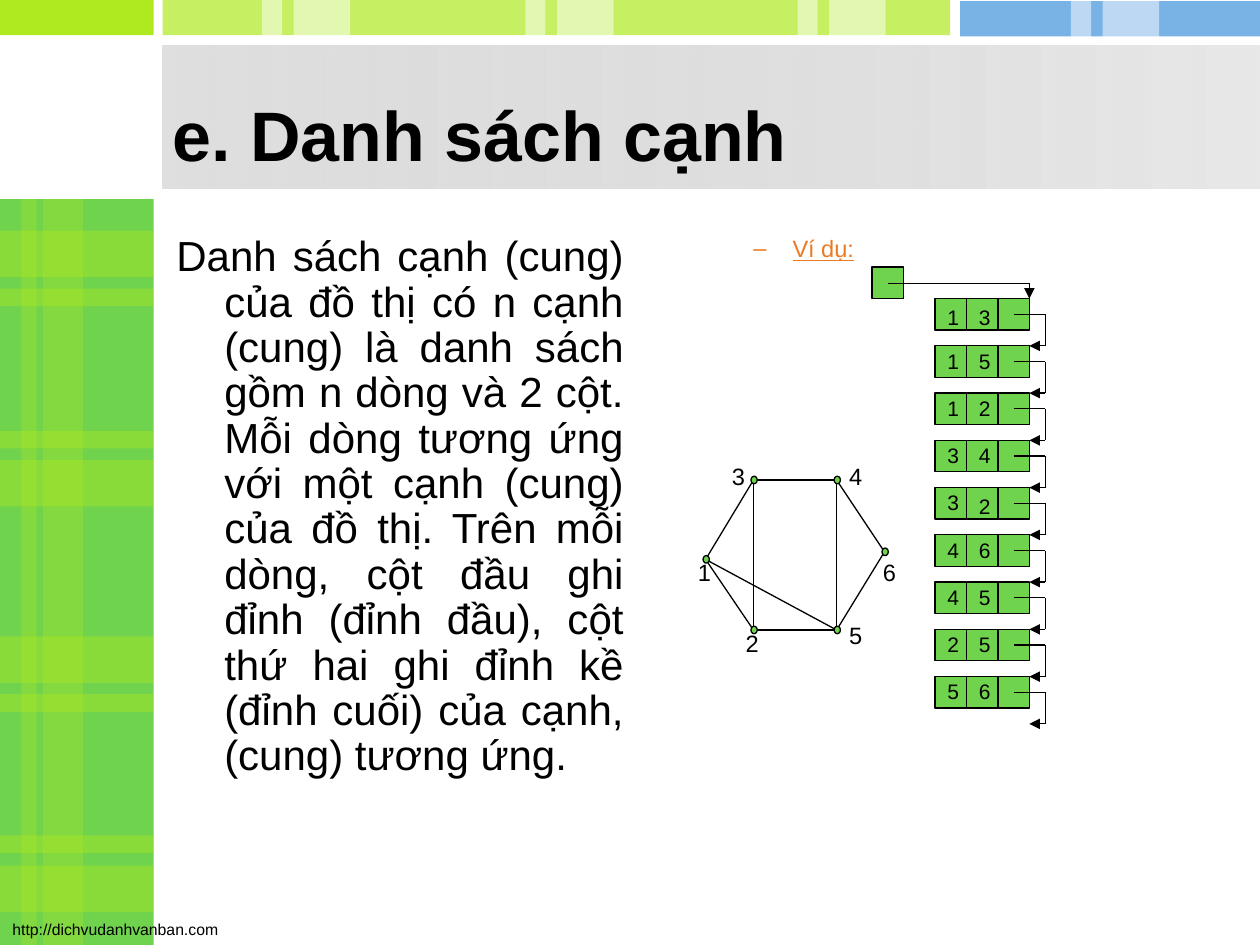
import pptx
import pptx.dml.color
import pptx.enum.shapes
import pptx.enum.text
import pptx.oxml
import pptx.oxml.ns
import pptx.util

Inches = pptx.util.Inches
Pt = pptx.util.Pt
SHAPE = pptx.enum.shapes.MSO_SHAPE
ALIGN = pptx.enum.text.PP_ALIGN
ANCHOR = pptx.enum.text.MSO_ANCHOR
AUTO_SIZE = pptx.enum.text.MSO_AUTO_SIZE
GREEN, LIME, BLUE, WHITE, BLACK = "70D34D", "AFE91F", "4192DB", "FFFFFF", "000000"
DEFINITION = (
    "Danh sách cạnh (cung) của đồ thị có n cạnh (cung) là danh sách gồm n dòng và 2 cột. "
    "Mỗi dòng tương ứng với một cạnh (cung) của đồ thị. Trên mỗi dòng, cột đầu ghi đỉnh "
    "(đỉnh đầu), cột thứ hai ghi đỉnh kề (đỉnh cuối) của cạnh, (cung) tương ứng."
)
# Vertex: centre, then label left, top and width, relative to the graph box
VERTICES = {
    "1": (0.16, 0.82, 0, 0.76, 0.22),
    "2": (0.54, 1.38, 0.38, 1.32, 0.27),
    "3": (0.54, 0.19, 0.27, 0, 0.33),
    "4": (1.2, 0.19, 1.2, 0, 0.27),
    "5": (1.2, 1.38, 1.2, 1.26, 0.27),
    "6": (1.58, 0.76, 1.47, 0.76, 0.27),
}
EDGES = ["13", "15", "12", "34", "32", "46", "45", "25", "56"]


def rgb(color):
    return pptx.dml.color.RGBColor.from_string(color)


def set_attributes(target, values):
    for name, value in values.items():
        setattr(target, name, value)


def add_xml(parent, tag, **attributes):
    element = pptx.oxml.parse_xml(f"<a:{tag} {pptx.oxml.ns.nsdecls('a')}/>")
    for name, value in attributes.items():
        element.set(name, str(value))
    parent.append(element)


def set_opacity(element, percent):
    """Make the first plain colour inside the element see-through."""
    color = next(element.iter(pptx.oxml.ns.qn("a:srgbClr")))
    add_xml(color, "alpha", val=percent * 1000)


def draw_shape(shapes, kind, box, fill=None, opacity=100, outlined=False):
    shape = shapes.add_shape(kind, *map(Inches, box))
    shape.shadow.inherit = False
    if fill:
        shape.fill.solid()
        shape.fill.fore_color.rgb = rgb(fill)
        if opacity < 100:
            set_opacity(shape.element.spPr, opacity)
    else:
        shape.fill.background()
    if outlined:
        shape.line.color.rgb = rgb(BLACK)
        shape.line.width = Pt(0.75)
    else:
        shape.line.fill.background()
    return shape


def draw_line(shapes, start, end, width=0.75, arrow=False):
    line = shapes.add_connector(
        pptx.enum.shapes.MSO_CONNECTOR.STRAIGHT, *map(Inches, (*start, *end)))
    line.line.color.rgb = rgb(BLACK)
    line.line.width = Pt(width)
    if arrow:
        add_xml(line.line._get_or_add_ln(), "tailEnd", type="triangle")
    add_xml(line.element.spPr, "effectLst")


def write_text(frame, text, size, color=BLACK, paragraph_format=None, **font):
    paragraph = frame.paragraphs[0]
    set_attributes(paragraph, {"space_before": Pt(0), **(paragraph_format or {})})
    run = paragraph.add_run()
    run.text = text
    set_attributes(run.font, {"name": "Arial", "size": Pt(size), **font})
    run.font.color.rgb = rgb(color)
    return paragraph


def add_label(shapes, text, box, size, wrap=True):
    frame = shapes.add_textbox(*map(Inches, box)).text_frame
    set_attributes(frame, {"word_wrap": wrap, "auto_size": AUTO_SIZE.SHAPE_TO_FIT_TEXT})
    write_text(frame, text, size)


def add_side_panel(shapes, left, top, width, height):
    draw_shape(shapes, SHAPE.RECTANGLE, (left, top, width, height), GREEN)
    for offset, strip in ((0.17, 0.12), (0.34, 0.32)):
        draw_shape(shapes, SHAPE.RECTANGLE, (left + offset, top, strip, height), LIME, 30)
    for wide, thin in ((0.25, 0.71), (2.07, 1.84), (3.47, 3.93), (5.29, 5.05)):
        for offset, band in ((wide, 0.37), (thin, 0.14)):
            draw_shape(shapes, SHAPE.RECTANGLE, (left, top + offset, width, band), LIME, 40)


def add_top_bar(shapes, left, top, width, height):
    draw_shape(shapes, SHAPE.RECTANGLE, (left, top, 1.22, height), LIME)
    draw_shape(shapes, SHAPE.RECTANGLE, (left + 1.29, top, 6.25, height), LIME, 70)
    draw_shape(shapes, SHAPE.RECTANGLE, (left + 7.62, top + 0.01, width - 7.62, height), BLUE, 70)
    for start in (2.08, 4.17, 6.33, 8.5):
        for offset, strip in ((0, 0.16), (0.25, 0.45)):
            draw_shape(shapes, SHAPE.RECTANGLE,
                       (left + start + offset, top, strip, height + 0.03), WHITE, 50)


def add_title_band(shapes, left, top, width, height):
    band = draw_shape(shapes, SHAPE.RECTANGLE, (left, top, width, height))
    band.fill.gradient()
    band.fill.gradient_angle = 0
    for stop, color in zip(band.fill.gradient_stops, ("C0C0C0", "E8E8E8")):
        stop.color.rgb = rgb(color)
    set_opacity(band.element.spPr, 50)


def place_placeholder(slide, index, box, anchor):
    """Move a placeholder to its box, in front of what is drawn so far."""
    placeholder = slide.placeholders[index]
    set_attributes(placeholder, dict(zip(("left", "top", "width", "height"), map(Inches, box))))
    slide.shapes.element.append(placeholder.element)
    frame = placeholder.text_frame
    set_attributes(frame, {"word_wrap": True, "auto_size": AUTO_SIZE.NONE,
                           "vertical_anchor": anchor})
    return frame


def add_title(slide, box):
    frame = place_placeholder(slide, 0, box, ANCHOR.MIDDLE)
    write_text(frame, "e. Danh sách cạnh", 40, paragraph_format={"alignment": ALIGN.LEFT},
               bold=True)


def add_body(slide, index, box, text, margin, indent, bullet=None, spacing=1.0, **style):
    frame = place_placeholder(slide, index, box, ANCHOR.TOP)
    paragraph = write_text(frame, text, paragraph_format={
        "level": 1, "alignment": ALIGN.JUSTIFY, "line_spacing": spacing}, **style)
    properties = paragraph._p.get_or_add_pPr()
    properties.set("marL", str(Inches(margin)))
    properties.set("indent", str(Inches(indent)))
    if bullet:
        add_xml(properties, "buChar", char=bullet)
    else:
        add_xml(properties, "buNone")


def add_graph(slide, left, top):
    shapes = slide.shapes.add_group_shape().shapes
    centres = {name: (left + x, top + y) for name, (x, y, *_) in VERTICES.items()}
    for start, end in EDGES:
        draw_line(shapes, centres[start], centres[end])
    for name, (x, y) in centres.items():
        draw_shape(shapes, SHAPE.OVAL, (x - 0.02, y - 0.03, 0.05, 0.06), GREEN, outlined=True)
        label_left, label_top, width = VERTICES[name][2:]
        add_label(shapes, name, (left + label_left, top + label_top, width, 0.33), 13.5)


def add_edge_list(slide, left, top, cell=0.25):
    """Draw the head cell and the chain of edge records that hangs from it."""
    shapes = slide.shapes.add_group_shape().shapes
    record_left, pitch = left + 2 * cell, 1.5 * cell
    right = record_left + 3 * cell
    for row, edge in enumerate(EDGES):
        y = top + cell + row * pitch
        draw_shape(shapes, SHAPE.RECTANGLE, (record_left, y, 3 * cell, cell), GREEN, outlined=True)
        for column, vertex in enumerate(edge):
            x = record_left + column * cell
            draw_line(shapes, (x + cell, y), (x + cell, y + cell))
            raised = 0 if (row, column) in ((0, 0), (0, 1), (4, 1)) else 0.03
            add_label(shapes, vertex, (x, y - raised, cell, 0.3), 12)
        middle, turn = y + cell / 2, right + cell / 2
        draw_line(shapes, (right - cell / 2, middle), (turn, middle))
        draw_line(shapes, (turn, middle), (turn, y + pitch))
        draw_line(shapes, (turn, y + pitch), (right, y + pitch), arrow=True)
    draw_shape(shapes, SHAPE.RECTANGLE, (left, top, cell, cell), GREEN, outlined=True)
    middle = top + cell / 2
    draw_line(shapes, (left + cell / 2, middle), (right, middle), width=0.25)
    draw_line(shapes, (right, middle), (right, top + cell), arrow=True)


def main():
    presentation = pptx.Presentation()
    set_attributes(presentation, {"slide_width": Inches(10), "slide_height": Inches(7.5)})
    slide = presentation.slides.add_slide(presentation.slide_layouts[3])
    add_side_panel(slide.shapes, 0, 1.58, 1.22, 5.92)
    add_top_bar(slide.shapes, 0, 0, 10, 0.28)
    add_title_band(slide.shapes, 1.29, 0.36, 8.71, 1.14)
    add_label(slide.shapes, "http://dichvudanhvanban.com", (0, 7.25, 1.85, 0.25), 9, wrap=False)
    add_title(slide, (1.27, 0.59, 6.15, 0.94))
    add_body(slide, 1, (0.97, 1.82, 4.08, 3.83), DEFINITION, 0.71, -0.38, spacing=0.9, size=24)
    add_body(slide, 2, (5.38, 1.81, 3, 3.83), "Ví dụ:", 0.81, -0.31, bullet="–",
             size=13.5, color="EC7A24", underline=True)
    add_graph(slide, 5.44, 3.62)
    add_edge_list(slide, 6.92, 2.12)
    presentation.save("out.pptx")


if __name__ == "__main__":
    main()
